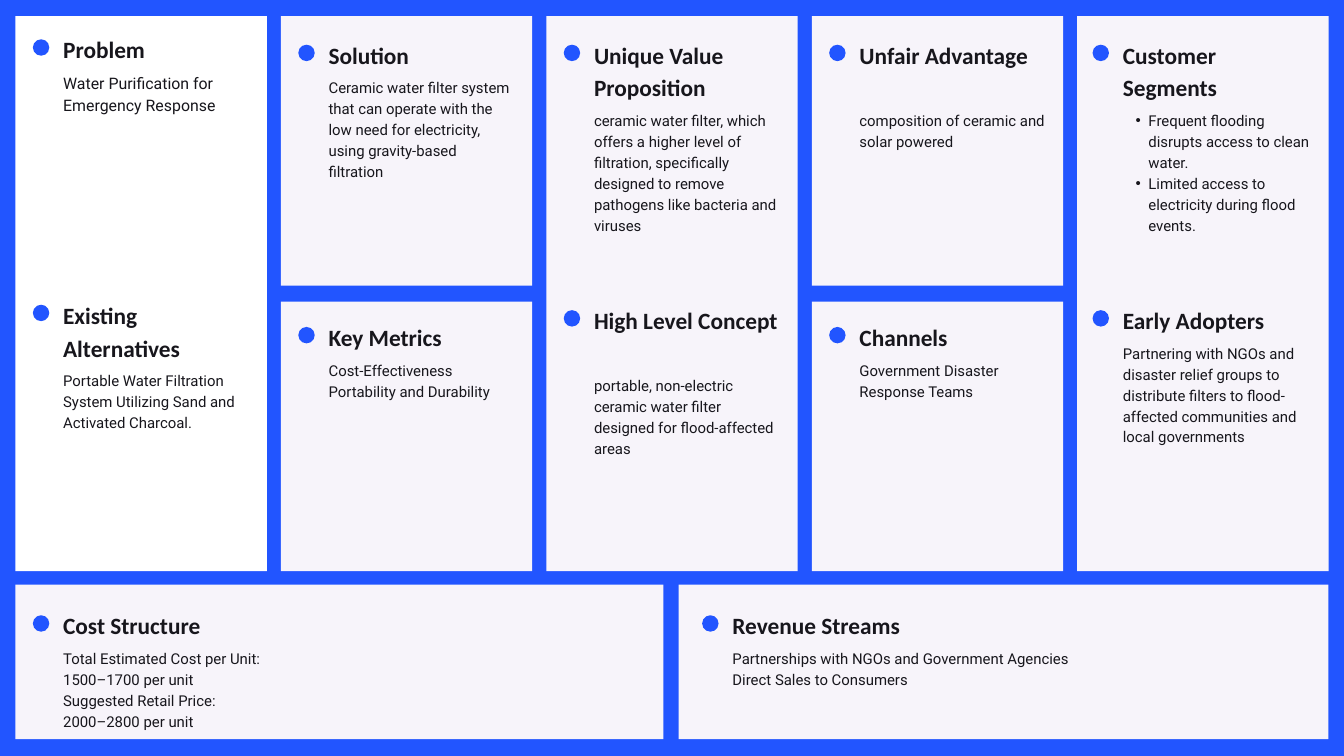
from lxml.etree import SubElement
from pptx import Presentation
from pptx.dml.color import RGBColor
from pptx.enum.shapes import MSO_SHAPE as Shape
from pptx.enum.text import MSO_AUTO_SIZE as AutoSize
from pptx.oxml.ns import qn
from pptx.util import Pt

BLUE = RGBColor(0x22, 0x55, 0xFF)
WHITE = RGBColor(0xFF, 0xFF, 0xFF)
LILAC = RGBColor(0xF7, 0xF4, 0xFA)
INK = RGBColor(0x17, 0x16, 0x1C)

# Grid of the canvas
LEFT, TOP, COLUMN_WIDTH, COLUMN_PITCH = 16.6, 17.3, 269.3, 284.4
HALF, ROW_PITCH = 288.7, 306
FULL = ROW_PITCH + HALF
BOTTOM_TOP, BOTTOM_HEIGHT = 626.4, 165.6
TEXT_WIDTH, DOT = 200, 17.6
columns = [LEFT + i * COLUMN_PITCH for i in range(5)]
REVENUE_LEFT = 727.2

# Cards: left, top, width, height, fill
cards = [
    (columns[0], TOP, COLUMN_WIDTH, FULL, WHITE),
    (columns[2], TOP, COLUMN_WIDTH, FULL, LILAC),
    (columns[4], TOP, COLUMN_WIDTH, FULL, LILAC),
    (LEFT, BOTTOM_TOP, 694.1, BOTTOM_HEIGHT, LILAC),
    (REVENUE_LEFT, BOTTOM_TOP, 696.2, BOTTOM_HEIGHT, LILAC),
]
for column in (columns[1], columns[3]):
    for row in range(2):
        cards.append((column, TOP + row * ROW_PITCH, COLUMN_WIDTH, HALF, LILAC))

# Text positions
text_lefts = [column + 51.1 for column in columns]
text_lefts[4] = 1203.1
UPPER, MIDDLE, LOWER, FOOT = 38.9, 323.3, 341.3, 650.2

# Sections: heading, left, top, heading lines, body paragraphs, body lines, options
sections = [
    ("Problem", text_lefts[0], 33.1, 1,
     ["Water Purification for Emergency Response"], 2, {"size": 17}),
    ("Existing Alternatives", text_lefts[0], 317.5, 2,
     ["Portable Water Filtration System Utilizing Sand and Activated Charcoal."], 3, {}),
    ("Solution", text_lefts[1], UPPER, 1,
     ["Ceramic water filter system that can operate with the low need for "
      "electricity, using gravity-based filtration"], 5, {}),
    ("Key Metrics", text_lefts[1], LOWER, 1,
     ["Cost-Effectiveness", "Portability and Durability"], 2, {}),
    ("Unique Value Proposition", text_lefts[2], UPPER, 2,
     ["ceramic water filter, which offers a higher level of filtration, "
      "specifically designed to remove pathogens like bacteria and viruses"], 6, {}),
    ("High Level Concept", text_lefts[2], MIDDLE, 2,
     ["portable, non-electric ceramic water filter designed for "
      "flood-affected areas"], 4, {}),
    ("Unfair Advantage", text_lefts[3], UPPER, 2,
     ["composition of ceramic and solar powered"], 2, {}),
    ("Channels", text_lefts[3], LOWER, 1,
     ["Government Disaster Response Teams"], 2, {}),
    ("Customer Segments", text_lefts[4], UPPER, 2,
     ["Frequent flooding disrupts access to clean water.",
      "Limited access to electricity during flood events."], 6, {"bullets": True}),
    ("Early Adopters", text_lefts[4], MIDDLE, 1,
     ["Partnering with NGOs and disaster relief groups to distribute filters to "
      "flood-affected communities and local governments"], 5, {}),
    ("Cost Structure", text_lefts[0], FOOT, 1,
     ["Total Estimated Cost per Unit:", "1500–1700 per unit",
      "Suggested Retail Price:", "2000–2800 per unit"], 4, {"width": 545}),
    ("Revenue Streams", REVENUE_LEFT + 57.6, FOOT, 1,
     ["Partnerships with NGOs and Government Agencies",
      "Direct Sales to Consumers"], 2, {"width": 615}),
]

presentation = Presentation()
presentation.slide_width, presentation.slide_height = Pt(1440), Pt(810)
slide = presentation.slides.add_slide(presentation.slide_layouts[6])
slide.background.fill.solid()
slide.background.fill.fore_color.rgb = BLUE


def add_filled(kind, left, top, width, height, color):
    shape = slide.shapes.add_shape(kind, Pt(left), Pt(top), Pt(width), Pt(height))
    shape.shadow.inherit = False
    shape.fill.solid()
    shape.fill.fore_color.rgb = color
    shape.line.fill.background()


def add_bullet(paragraph):
    properties = paragraph._p.get_or_add_pPr()
    properties.set("marL", str(Pt(27.4)))
    properties.set("indent", str(Pt(-13.7)))
    SubElement(properties, qn("a:buFont")).set("typeface", "Arial")
    SubElement(properties, qn("a:buChar")).set("char", "•")


def add_text(left, top, width, height, texts, spacing, font_format, bullets=False):
    box = slide.shapes.add_textbox(Pt(left), Pt(top), Pt(width), Pt(height))
    frame = box.text_frame
    frame_format = {"margin_left": 0, "margin_top": 0, "margin_right": 0,
                    "margin_bottom": 0, "word_wrap": True,
                    "auto_size": AutoSize.SHAPE_TO_FIT_TEXT}
    for name, value in frame_format.items():
        setattr(frame, name, value)
    for i, text in enumerate(texts):
        paragraph = frame.add_paragraph() if i else frame.paragraphs[0]
        paragraph.line_spacing = Pt(spacing)
        if bullets:
            add_bullet(paragraph)
        run = paragraph.add_run()
        run.text = text
        for name, value in font_format.items():
            setattr(run.font, name, value)
        run.font.color.rgb = INK


# Cards
for left, top, width, height, color in cards:
    add_filled(Shape.RECTANGLE, left, top, width, height, color)

# Heading, body and dot of each section
for heading, left, top, heading_lines, body, body_lines, options in sections:
    width = options.get("width", TEXT_WIDTH)
    size = options.get("size", 16)
    spacing = 1.4 * size
    add_text(left, top, width, 33.5 * heading_lines, [heading], 35,
             {"name": "Calibri", "size": Pt(25), "bold": True})
    add_text(left, top + 7.5 + 35 * heading_lines, width, spacing * body_lines, body,
             spacing, {"name": "Roboto", "size": Pt(size)}, options.get("bullets", False))
    add_filled(Shape.OVAL, left - 32.5, top + 9, DOT, DOT, BLUE)

presentation.save("out.pptx")
